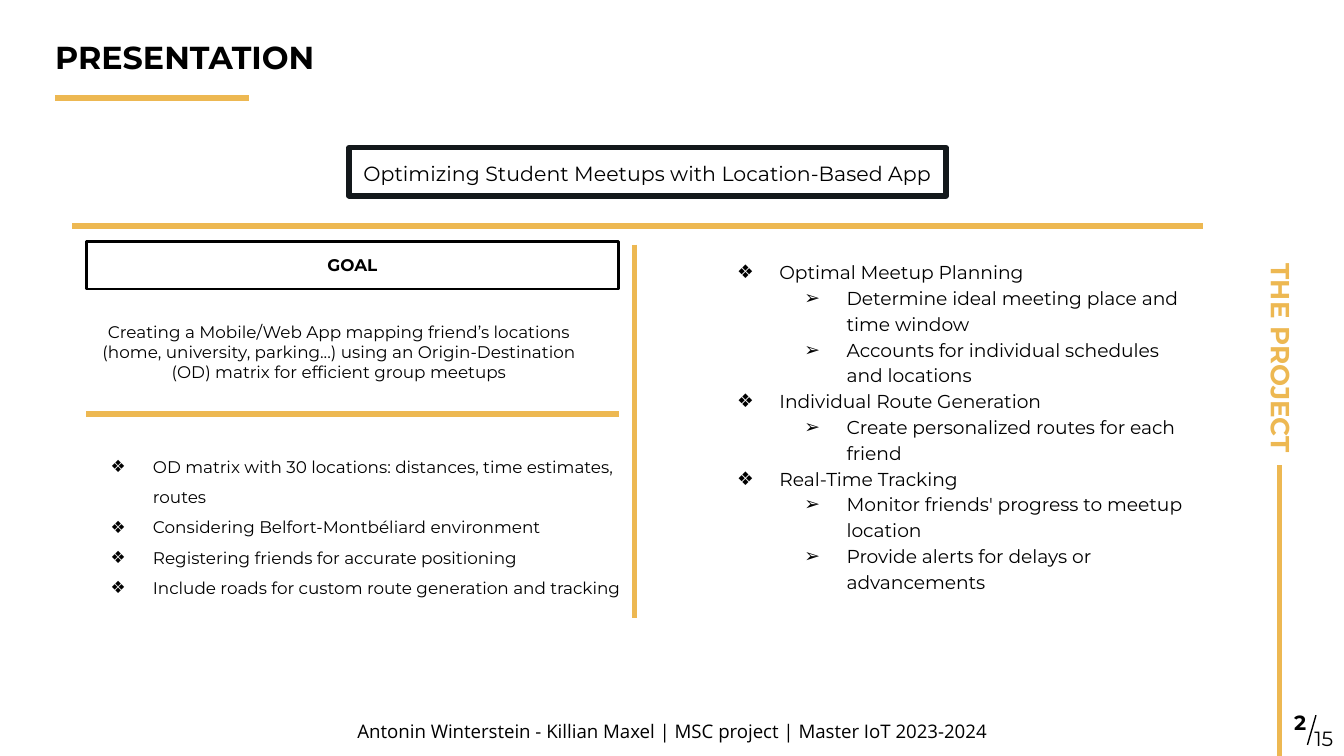
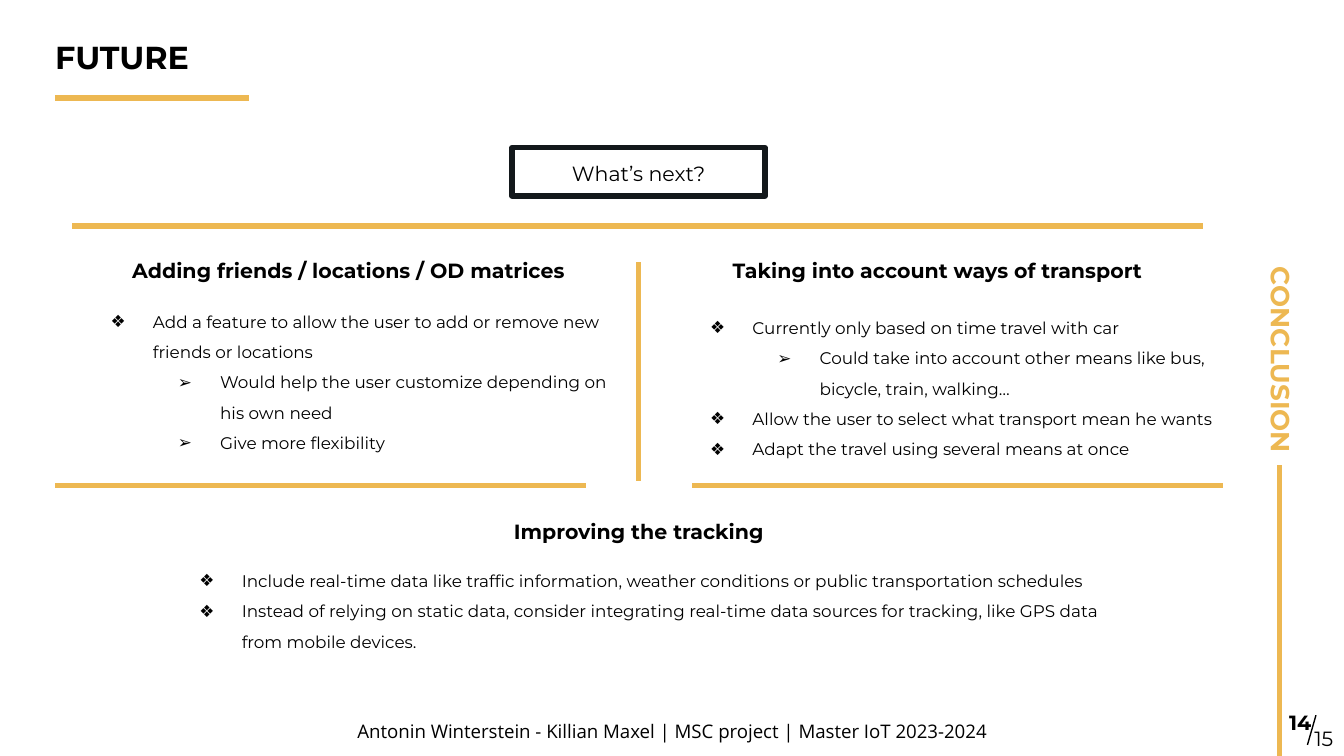
from dataclasses import dataclass
from typing import NamedTuple

from lxml.etree import SubElement
from pptx import Presentation
from pptx.dml.color import RGBColor
from pptx.enum.shapes import MSO_CONNECTOR, MSO_SHAPE
from pptx.enum.text import MSO_ANCHOR, MSO_AUTO_SIZE, PP_ALIGN
from pptx.oxml.ns import qn
from pptx.util import Cm, Pt


@dataclass(frozen=True)
class Theme:
    accent: str = "EDB852"
    ink: str = "000000"
    frame: str = "13181B"
    font: str = "Montserrat"
    footer_font: str = "Open Sans"
    title: int = 17
    section: int = 14
    heading: int = 11
    large: int = 10
    small: int = 9
    rule: float = 3
    bullets: tuple = ("❖", "➢")
    indent: float = 1.27
    hanging: float = 0.8
    wide_inset: float = 0.25
    inset: float = 0.18


class Box(NamedTuple):
    """A region in centimetres."""
    left: float
    top: float
    width: float
    height: float

    def inner(self, right, down, width, height):
        return Box(self.left + right, self.top + down, width, height)

    def lengths(self):
        return [Cm(value) for value in self]


THEME = Theme()
PAGE = Box(0, 0, 25.4, 14.28)
CREDIT = "Antonin Winterstein - Killian Maxel | MSC project | Master IoT 2023-2024"
PAGE_TOTAL = 15


def add_bullet(para, level):
    properties = para._p.get_or_add_pPr()
    properties.set("marL", str(Cm(THEME.indent * (level + 1))))
    properties.set("indent", str(-Cm(THEME.hanging)))
    colour = SubElement(properties, qn("a:buClr"))
    SubElement(colour, qn("a:srgbClr")).set("val", THEME.ink)
    SubElement(properties, qn("a:buFont")).set("typeface", THEME.font)
    SubElement(properties, qn("a:buChar")).set("char", THEME.bullets[level])


def write(shape, content, size=THEME.small, bold=False, colour=THEME.ink,
          font=THEME.font, align=PP_ALIGN.LEFT, anchor=MSO_ANCHOR.TOP,
          spacing=1.0, inset=THEME.inset, inset_y=None):
    """Fill a shape with one text, or with a bulleted list of (level, text)."""
    frame = shape.text_frame
    frame.word_wrap = True
    frame.auto_size = MSO_AUTO_SIZE.NONE
    frame.vertical_anchor = anchor
    frame.margin_left = frame.margin_right = Cm(inset)
    frame.margin_top = frame.margin_bottom = Cm(inset if inset_y is None else inset_y)
    bulleted = not isinstance(content, str)
    lines = content if bulleted else [(0, content)]
    for number, (level, text) in enumerate(lines):
        para = frame.add_paragraph() if number else frame.paragraphs[0]
        para.level = level
        para.alignment = align
        para.line_spacing = spacing
        para.space_before = para.space_after = Pt(0)
        if bulleted:
            add_bullet(para, level)
        span = para.add_run()
        span.text = text
        span.font.name = font
        span.font.size = Pt(size)
        span.font.bold = bold
        span.font.color.rgb = RGBColor.from_string(colour)


def text_area(page, box, placeholder=None):
    """Move a placeholder to the box, or add a text box when none is given."""
    if placeholder is None:
        return page.shapes.add_textbox(*box.lengths())
    shape = page.placeholders[placeholder]
    shape.left, shape.top, shape.width, shape.height = box.lengths()
    return shape


def add_rule(page, start, end, colour=THEME.accent, weight=THEME.rule):
    rule = page.shapes.add_connector(
        MSO_CONNECTOR.STRAIGHT, *(Cm(value) for value in (*start, *end)))
    rule.line.color.rgb = RGBColor.from_string(colour)
    rule.line.width = Pt(weight)
    SubElement(rule._element.spPr, qn("a:effectLst"))


def framed_text(page, box, text, colour, weight, **style):
    frame = page.shapes.add_shape(MSO_SHAPE.RECTANGLE, *box.lengths())
    frame.shadow.inherit = False
    frame.fill.background()
    frame.line.color.rgb = RGBColor.from_string(colour)
    frame.line.width = Pt(weight)
    write(frame, text, align=PP_ALIGN.CENTER, **style)


def banner(page, box, text):
    framed_text(page, box, text, THEME.frame, THEME.rule,
                size=THEME.heading, spacing=1.15)


def header(page, box, title):
    write(text_area(page, box, 0), title, size=THEME.title, bold=True,
          anchor=MSO_ANCHOR.BOTTOM, spacing=0.9, inset_y=0.1)
    left, top = box.left + THEME.inset, box.top + 1.21
    add_rule(page, (left, top), (left + 3.66, top))


def section_strip(page, box, section):
    """Upright section name above a rule that runs to the page bottom."""
    middle = box.left + box.width / 2
    add_rule(page, (middle, box.top + box.height), (middle, box.top + 4.55))
    label = text_area(page, box.inner(-3.62, 0, 8.26, 0.74))
    label.rotation = 90
    write(label, section, size=THEME.section, bold=True, colour=THEME.accent,
          align=PP_ALIGN.RIGHT)


def page_number(page, box, number):
    write(text_area(page, box.inner(0, 0, 1.35, 0.91)), str(number),
          size=THEME.heading, bold=True, align=PP_ALIGN.CENTER,
          anchor=MSO_ANCHOR.MIDDLE, inset=0)
    add_rule(page, (box.left + 0.81, box.top + 0.89),
             (box.left + 0.97, box.top + 0.33), THEME.ink, 0.75)
    write(text_area(page, box.inner(0.69, 0.28, 1.04, 0.99)), str(PAGE_TOTAL),
          size=THEME.heading, inset=THEME.wide_inset)


def new_page(deck, layout, title, section, number):
    """Add a page with everything that all pages share."""
    page = deck.slides.add_slide(deck.slide_layouts.get_by_name(layout))
    header(page, PAGE.inner(0.86, 0.64, 10.41, 0.91), title)
    add_rule(page, (1.37, 4.27), (22.73, 4.27))
    section_strip(page, PAGE.inner(23.81, 4.24, 0.74, 10.05), section)
    page_number(page, PAGE.inner(23.9, 13.18, 1.73, 1.27), number)
    write(text_area(page, PAGE.inner(0, 13.41, PAGE.width, 1.32)), CREDIT,
          size=THEME.large, font=THEME.footer_font, align=PP_ALIGN.CENTER)
    return page


def bullet_list(page, box, items, placeholder=None, size=THEME.small, spacing=1.5):
    write(text_area(page, box, placeholder), items, size=size, spacing=spacing,
          inset=THEME.wide_inset)


def goal_column(page, box, goal, items):
    """Framed heading, centred statement, rule and list, stacked in the box."""
    width = 10.06
    framed_text(page, box.inner(0.26, 0, width, 0.89), "GOAL", THEME.ink, 1.5,
                bold=True, inset=THEME.wide_inset)
    write(text_area(page, box.inner(0, 1.25, width, 1.68)), goal,
          align=PP_ALIGN.CENTER, inset=THEME.wide_inset)
    left, middle = box.left + 0.26, box.top + 3.25
    add_rule(page, (left, middle), (left + width, middle))
    bullet_list(page, box.inner(0, 3.61, box.width, 3.2), items, placeholder=1)


def idea_panel(page, box, heading, items, heading_left, heading_width, drop,
               placeholders=(None, None)):
    """Centred heading with its list a given drop below."""
    heading_slot, list_slot = placeholders
    heading_box = box.inner(heading_left, 0, heading_width, 0.71)
    write(text_area(page, heading_box, heading_slot), heading,
          size=THEME.heading, bold=True, align=PP_ALIGN.CENTER, spacing=1.15)
    list_box = box.inner(0, drop, box.width, box.height - drop)
    bullet_list(page, list_box, items, list_slot)


def presentation_page(deck):
    page = new_page(deck, "Two Content", "PRESENTATION", "THE PROJECT", 2)
    banner(page, PAGE.inner(6.6, 2.79, 11.28, 0.91),
           "Optimizing Student Meetups with Location-Based App")
    goal_column(
        page, PAGE.inner(1.37, 4.57, 10.69, 6.81),
        "Creating a Mobile/Web App mapping friend’s locations (home, university, "
        "parking...) using an Origin-Destination (OD) matrix for efficient group meetups",
        [(0, "OD matrix with 30 locations: distances, time estimates, routes"),
         (0, "Considering Belfort-Montbéliard environment"),
         (0, "Registering friends for accurate positioning"),
         (0, "Include roads for custom route generation and tracking")])
    add_rule(page, (11.99, 4.62), (11.99, 11.68))
    bullet_list(
        page, PAGE.inner(13.21, 4.62, 9.53, 6.83),
        [(0, "Optimal Meetup Planning"),
         (1, "Determine ideal meeting place and time window"),
         (1, "Accounts for individual schedules and locations"),
         (0, "Individual Route Generation"),
         (1, "Create personalized routes for each friend"),
         (0, "Real-Time Tracking"),
         (1, "Monitor friends' progress to meetup location"),
         (1, "Provide alerts for delays or advancements")],
        placeholder=2, size=THEME.large, spacing=1.15)


def future_page(deck):
    page = new_page(deck, "Comparison", "FUTURE", "CONCLUSION", 14)
    banner(page, PAGE.inner(9.68, 2.79, 4.78, 0.91), "What’s next?")
    idea_panel(
        page, PAGE.inner(1.37, 4.62, 10.69, 4.02),
        "Adding friends / locations / OD matrices",
        [(0, "Add a feature to allow the user to add or remove new friends or locations"),
         (1, "Would help the user customize depending on his own need"),
         (1, "Give more flexibility")],
        heading_left=0.61, heading_width=9.22, drop=0.82, placeholders=(1, 2))
    idea_panel(
        page, PAGE.inner(12.7, 4.62, 10.69, 4.14),
        "Taking into account ways of transport",
        [(0, "Currently only based on time travel with car"),
         (1, "Could take into account other means like bus, bicycle, train, walking…"),
         (0, "Allow the user to select what transport mean he wants"),
         (0, "Adapt the travel using several means at once")],
        heading_left=0.41, heading_width=9.22, drop=0.94, placeholders=(3, 4))
    add_rule(page, (12.07, 4.95), (12.07, 9.09))
    for left in (1.04, 13.08):
        add_rule(page, (left, 9.17), (left + 10.03, 9.17))
    idea_panel(
        page, PAGE.inner(3.05, 9.55, 18.01, 2.85), "Improving the tracking",
        [(0, "Include real-time data like traffic information, weather conditions "
             "or public transportation schedules"),
         (0, "Instead of relying on static data, consider integrating real-time data "
             "sources for tracking, like GPS data from mobile devices.")],
        heading_left=5.38, heading_width=7.29, drop=0.79)


def main():
    deck = Presentation()
    deck.slide_width, deck.slide_height = Cm(PAGE.width), Cm(PAGE.height)
    presentation_page(deck)
    future_page(deck)
    deck.save("out.pptx")


if __name__ == "__main__":
    main()
